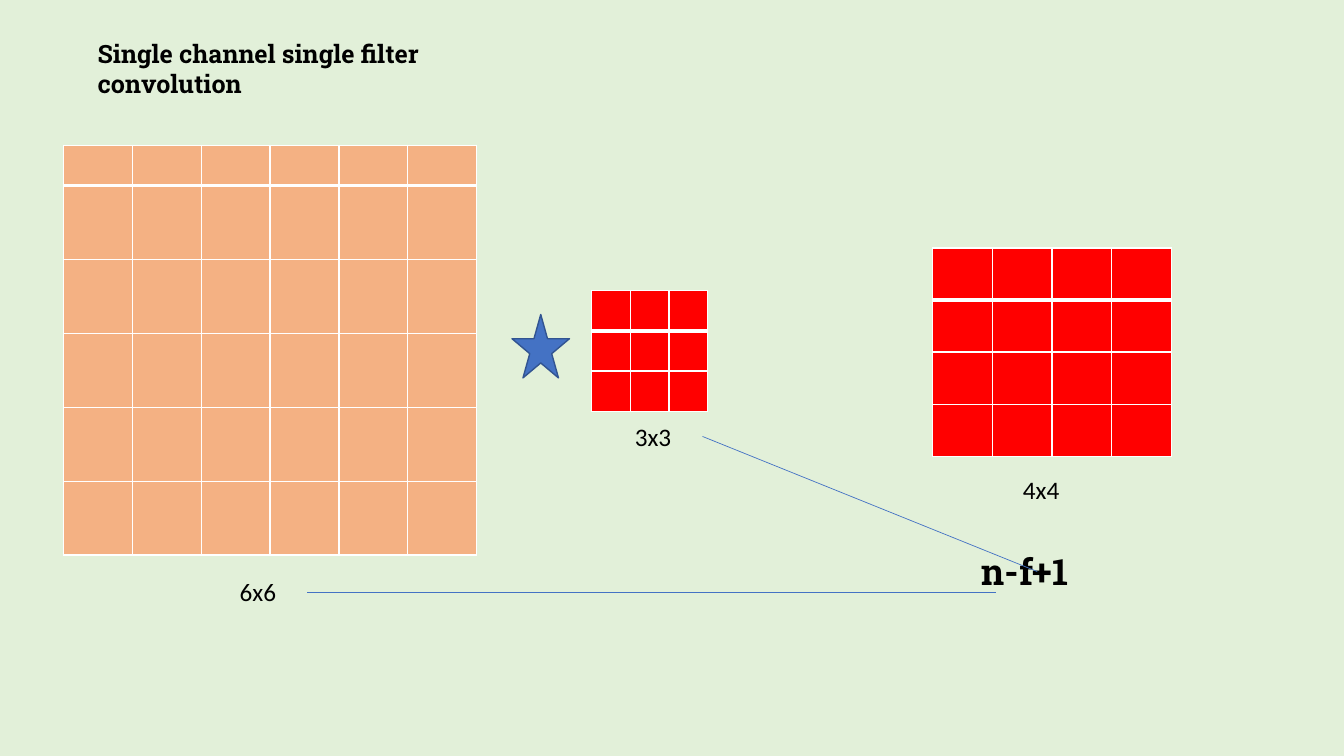
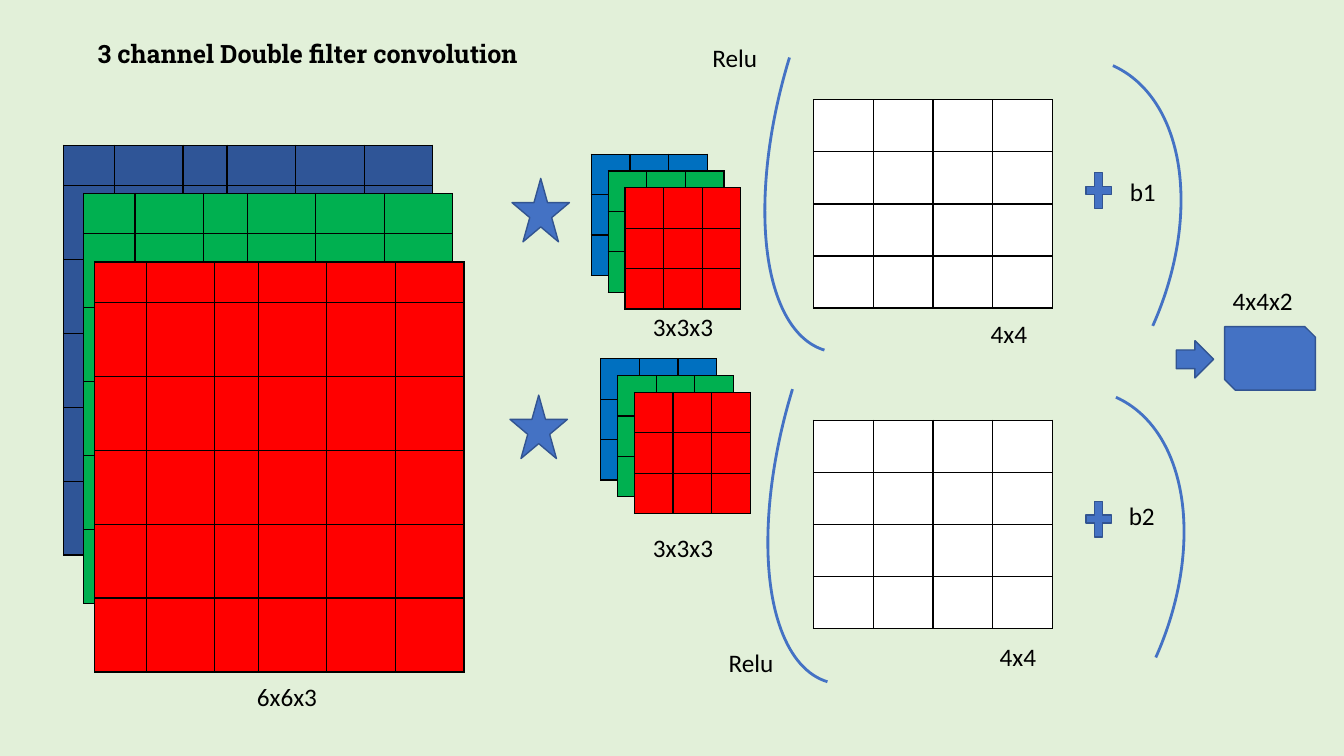
"""Build two slides that explain convolution with one and with two filters."""
import dataclasses
import typing

import lxml.etree
import pptx
import pptx.dml.color
import pptx.enum.shapes
import pptx.enum.text
import pptx.oxml.ns
import pptx.slide
import pptx.util

COLUMNS, ROWS = 40, 22.5
UNIT = pptx.util.Inches(1) / 3

MINT, BLACK, WHITE, RED = "E2F0D9", "000000", "FFFFFF", "FF0000"
PEACH, NAVY, SKY, GREEN = "F4B183", "2F5597", "0070C0", "00B050"
BLUE, OUTLINE = "4472C4", "325491"

LABEL = {"name": "Calibri", "size": pptx.util.Pt(18), "bold": False}
TITLE = {"name": "Roboto Slab", "size": pptx.util.Pt(18), "bold": True}
FORMULA = {**TITLE, "size": pptx.util.Pt(26)}
PLAIN_TABLE = {"first_row": False, "horz_banding": False}
FRAME = {
    "word_wrap": True,
    "auto_size": pptx.enum.text.MSO_AUTO_SIZE.SHAPE_TO_FIT_TEXT,
}
PRESET = pptx.enum.shapes.MSO_SHAPE


@dataclasses.dataclass(frozen=True)
class Grid:
    """Column widths and row heights of a matrix."""
    columns: tuple[float, ...]
    rows: tuple[float, ...]


@dataclasses.dataclass(frozen=True)
class Matrix:
    """A coloured matrix at a grid position."""
    left: float
    top: float
    grid: Grid
    fill: str
    border: str = BLACK
    header_line: float = 1


@dataclasses.dataclass(frozen=True)
class Label:
    """A line of text at a grid position."""
    text: str
    left: float
    top: float
    width: float = 2.31
    height: float = 1.2
    style: typing.Mapping[str, typing.Any] = dataclasses.field(
        default_factory=lambda: LABEL)


@dataclasses.dataclass(frozen=True)
class Symbol:
    """A preset shape at a grid position."""
    preset: PRESET
    left: float
    top: float
    width: float
    height: float
    rotation: float = 0
    fill: str | None = BLUE
    outline: str = OUTLINE
    line_width: float = 1


@dataclasses.dataclass(frozen=True)
class Link:
    """A straight line between two grid points."""
    start: tuple[float, float]
    end: tuple[float, float]


Item = Matrix | Label | Symbol | Link

INPUT_ROWS = (1.11,) + (2.2,) * 5
INPUT = Grid((2.05,) * 6, INPUT_ROWS)
CHANNEL = Grid((1.53, 2.03, 1.31, 2.04, 2.04, 2.04), INPUT_ROWS)
FILTER = Grid((1.15,) * 3, (1.17,) * 3)
RESULT = Grid((1.78,) * 4, (1.55,) * 4)


def color(value: str) -> pptx.dml.color.RGBColor:
    """Turn a hex string into a colour."""
    return pptx.dml.color.RGBColor.from_string(value)


def span(*units: float) -> list[pptx.util.Emu]:
    """Turn grid units into lengths."""
    return [pptx.util.Emu(round(unit * UNIT)) for unit in units]


def apply(target: typing.Any, values: typing.Mapping[str, typing.Any]) -> None:
    """Set every attribute named in the values."""
    for name, value in values.items():
        setattr(target, name, value)


def add_border(cell: typing.Any, side: str, value: str, points: float) -> None:
    """Add a solid border to one side of a cell."""
    name = pptx.oxml.ns.qn
    line = lxml.etree.SubElement(cell._tc.get_or_add_tcPr(), name(f"a:ln{side}"),
                                 w=str(pptx.util.Pt(points)))
    solid = lxml.etree.SubElement(line, name("a:solidFill"))
    lxml.etree.SubElement(solid, name("a:srgbClr"), val=value)


def draw_matrix(page: pptx.slide.Slide, matrix: Matrix) -> None:
    """Draw a matrix as a table."""
    grid = matrix.grid
    table = page.shapes.add_table(
        len(grid.rows), len(grid.columns),
        *span(matrix.left, matrix.top, sum(grid.columns), sum(grid.rows))).table
    apply(table, PLAIN_TABLE)
    for column, width in zip(table.columns, span(*grid.columns)):
        column.width = width
    for index, (row, height) in enumerate(zip(table.rows, span(*grid.rows))):
        row.height = height
        widths = {"L": 1, "R": 1,
                  "T": matrix.header_line if index == 1 else 1,
                  "B": matrix.header_line if index == 0 else 1}
        for cell in row.cells:
            for side, points in widths.items():
                add_border(cell, side, matrix.border, points)
            cell.fill.solid()
            cell.fill.fore_color.rgb = color(matrix.fill)


def draw_label(page: pptx.slide.Slide, label: Label) -> None:
    """Draw a text box."""
    box = page.shapes.add_textbox(
        *span(label.left, label.top, label.width, label.height))
    apply(box.text_frame, FRAME)
    run = box.text_frame.paragraphs[0].add_run()
    run.text = label.text
    apply(run.font, label.style)
    run.font.color.rgb = color(BLACK)


def draw_symbol(page: pptx.slide.Slide, symbol: Symbol) -> None:
    """Draw a preset shape."""
    shape = page.shapes.add_shape(
        symbol.preset, *span(symbol.left, symbol.top, symbol.width, symbol.height))
    shape.shadow.inherit = False
    shape.rotation = symbol.rotation
    if symbol.fill:
        shape.fill.solid()
        shape.fill.fore_color.rgb = color(symbol.fill)
    else:
        shape.fill.background()
    shape.line.color.rgb = color(symbol.outline)
    shape.line.width = pptx.util.Pt(symbol.line_width)


def draw_link(page: pptx.slide.Slide, link: Link) -> None:
    """Draw a thin connector."""
    connector = page.shapes.add_connector(
        pptx.enum.shapes.MSO_CONNECTOR.STRAIGHT, *span(*link.start, *link.end))
    connector.line.color.rgb = color(BLUE)
    connector.line.width = pptx.util.Pt(0.5)
    lxml.etree.SubElement(connector._element.spPr, pptx.oxml.ns.qn("a:effectLst"))


DRAW: dict[type, typing.Callable[..., None]] = {
    Matrix: draw_matrix, Label: draw_label, Symbol: draw_symbol, Link: draw_link}


def title(text: str, width: float, height: float) -> Label:
    """Place a slide title."""
    return Label(text, 2.61, 0.99, width, height, TITLE)


def star(left: float, top: float) -> Symbol:
    """Place a convolution star."""
    return Symbol(PRESET.STAR_5_POINT, left, top, 1.71, 1.89)


def plus(top: float) -> Symbol:
    """Place a plus sign before a bias."""
    return Symbol(PRESET.MATH_PLUS, 32.19, top, 1.02, 1.44)


def filter_stack(left: float, top: float) -> list[Matrix]:
    """Stack the three channels of a filter diagonally."""
    return [Matrix(left + step / 2, top + step / 2, FILTER, fill)
            for step, fill in enumerate((SKY, GREEN, RED))]


def brackets(shift: float, drop: float) -> list[Symbol]:
    """Place the pair of arcs around a filter result."""
    stroke = {"fill": None, "outline": BLUE, "line_width": 2}
    return [
        Symbol(PRESET.ARC, 23.34 + shift, drop - 5.28, 7.08, 16.05, 197, **stroke),
        Symbol(PRESET.ARC, 26.19 + shift, drop + 1.38, 8.49, 13.17, 24.1, **stroke),
    ]


SINGLE_FILTER: list[Item] = [
    title("Single channel single filter convolution", 12.66, 2.13),
    Matrix(1.89, 4.32, INPUT, PEACH, WHITE, 3),
    star(15.24, 9.36),
    Matrix(17.61, 8.64, FILTER, RED, WHITE, 3),
    Matrix(27.75, 7.38, RESULT, RED, WHITE, 3),
    Label("6x6", 6.84, 17.01),
    Label("3x3", 18.6, 12.39),
    Label("4x4", 30.15, 13.98),
    Label("n-f+1", 28.92, 16.2, 4.77, 1.62, FORMULA),
    Link((29.64, 17.64), (9.15, 17.64)),
    Link((20.91, 12.99), (30.87, 17.01)),
]

DOUBLE_FILTER: list[Item] = [
    title("3 channel Double filter convolution", 15, 1.2),
    Matrix(1.89, 4.32, CHANNEL, NAVY),
    Matrix(2.49, 5.76, CHANNEL, GREEN),
    Matrix(2.82, 7.8, CHANNEL, RED),
    Label("6x6x3", 7.35, 20.13, 3.09),
    star(15.24, 5.31),
    star(15.18, 11.76),
    *filter_stack(17.6, 4.59),
    *filter_stack(17.88, 10.68),
    Label("3x3x3", 19.14, 9.12, 3.09),
    Label("3x3x3", 19.14, 15.69, 3.09),
    Matrix(24.21, 2.97, RESULT, WHITE),
    Matrix(24.21, 12.51, RESULT, WHITE),
    Label("4x4", 29.19, 9.33),
    Label("4x4", 29.46, 18.93),
    plus(4.95),
    plus(14.73),
    Label("b1", 33.33, 5.1, 2.04),
    Label("b2", 33.3, 14.73, 2.04),
    *brackets(0, 0),
    *brackets(0.09, 9.87),
    Label("Relu", 20.91, 1.11, 5.76),
    Label("Relu", 21.39, 19.11, 5.76),
    Symbol(PRESET.RIGHT_ARROW, 35.01, 10.14, 1.11, 1.11),
    Label("4x4x2", 36.39, 8.34, 2.55),
    Symbol(PRESET.SNIP_2_DIAG_RECTANGLE, 36.45, 9.72, 2.7, 1.89),
]


def main() -> None:
    """Build and save the deck."""
    deck = pptx.Presentation()
    deck.slide_width, deck.slide_height = span(COLUMNS, ROWS)
    backdrop = deck.slide_master.background.fill
    backdrop.solid()
    backdrop.fore_color.rgb = color(MINT)
    for items in (SINGLE_FILTER, DOUBLE_FILTER):
        page = deck.slides.add_slide(deck.slide_layouts[6])
        for item in items:
            DRAW[type(item)](page, item)
    deck.save("out.pptx")


main()
